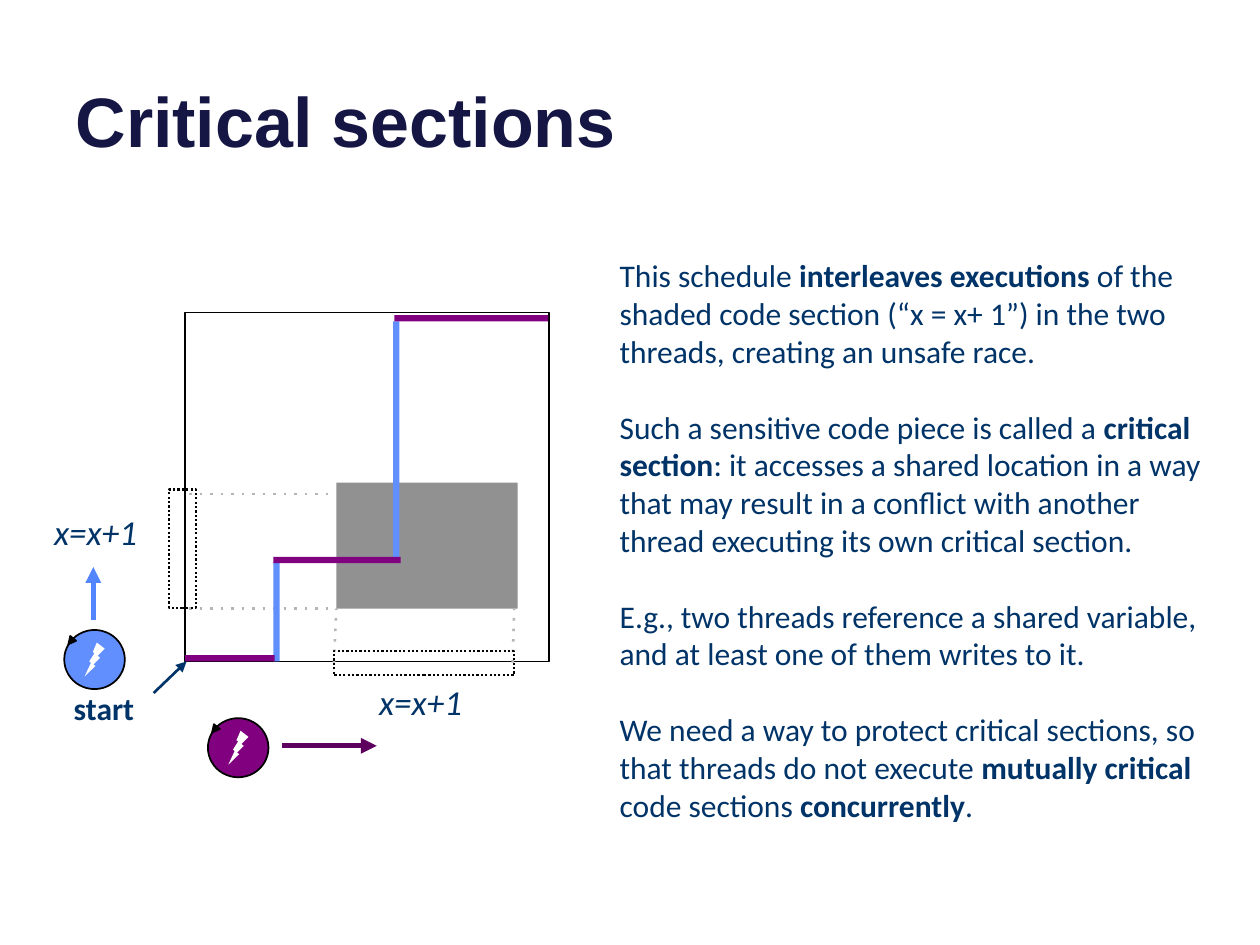
"""Build the slide on critical sections with its schedule diagram."""
from lxml.etree import SubElement
from pptx import Presentation
from pptx.dml.color import RGBColor as RGB
from pptx.enum.shapes import MSO_CONNECTOR as Conn, MSO_SHAPE as Kind
from pptx.enum.text import MSO_ANCHOR as Anchor, PP_ALIGN as Align
from pptx.oxml.ns import qn
from pptx.util import Pt

NAVY, INK = RGB(0x16, 0x16, 0x45), RGB(0x00, 0x33, 0x67)
BLUE, PURPLE = RGB(0x61, 0x8F, 0xFD), RGB(0x80, 0x00, 0x80)
SKY, PLUM = RGB(0x53, 0x85, 0xFF), RGB(0x5D, 0x00, 0x5E)
GREY, PALE = RGB(0x91, 0x91, 0x91), RGB(0xB5, 0xB5, 0xB5)
BLACK, WHITE = RGB(0, 0, 0), RGB(255, 255, 255)

TITLE = "Critical sections"
BODY = [
    [("This schedule ", False), ("interleaves executions", True),
     (" of the shaded code section (“x = x+ 1”) in the two threads, "
      "creating an unsafe race.", False)],
    [("Such a sensitive code piece is called a ", False),
     ("critical section", True),
     (": it accesses a shared location in a way that may result in a conflict "
      "with another thread executing its own critical section.", False)],
    [("E.g., two threads reference a shared variable, "
      "and at least one of them writes to it.", False)],
    [("We need a way to protect critical sections, "
      "so that threads do not execute ", False),
     ("mutually critical ", True), ("code sections ", False),
     ("concurrently", True), (".", False)],
]
CODE = "x=x+1"
LABELS = [
    (CODE, (23.8, 288, 77.8, 31.7), 20, False, True, Align.LEFT),
    (CODE, (209.5, 385.2, 77.8, 31.7), 20, False, True, Align.LEFT),
    ("start", (29.5, 390.2, 59.8, 28.8), 18, True, False, Align.CENTER),
]
THICK = 3.6
ACROSS = [(225.4, 180, 87.8), (105.8, 374.4, 51.1), (156.2, 318.2, 72.7)]
UP = [(224.6, 183.6, 137.5), (156.2, 321.1, 56.9)]
FIELD = (105.8, 178.6, 208.1, 199.4)
SHADE = (192.2, 275.8, 103.7, 72)
SPANS = [(190.8, 372.2, 103, 13.7), (96.8, 279.7, 15.1, 67.7)]
THREADS = [(36.7, 360, BLUE), (118.8, 410.4, PURPLE)]
ARROWS = [
    ((53.3, 354.2, 53.3, 324), SKY, 3),
    ((161.3, 426.2, 215.3, 426.2), PLUM, 3),
    ((87.8, 396, 106.6, 378), INK, 1.5),
]
GUIDES = [(108, 282.2, 192.2, 282.2), (108, 347.8, 192.2, 347.8),
          (190.8, 378.7, 192.2, 347.8), (293, 378.7, 293.8, 347.8)]


def stroke(shape, color, width, dash=None, head=False):
    shape.line.color.rgb = color
    shape.line.width = Pt(width)
    ln = shape._element.spPr.find(qn("a:ln"))
    if dash:
        SubElement(ln, qn("a:prstDash")).set("val", dash)
    if head:
        SubElement(ln, qn("a:tailEnd")).set("type", "triangle")


def draw(shapes, box, fill=None, edge=None, dash=None, kind=Kind.RECTANGLE):
    shape = shapes.add_shape(kind, *map(Pt, box))
    shape.shadow.inherit = False
    if fill is None:
        shape.fill.background()
    else:
        shape.fill.solid()
        shape.fill.fore_color.rgb = fill
    if edge:
        stroke(shape, BLACK, edge, dash)
    else:
        shape.line.fill.background()
    return shape


def link(shapes, ends, color, width, dash=None, head=False):
    line = shapes.add_connector(Conn.STRAIGHT, *map(Pt, ends))
    stroke(line, color, width, dash, head)
    SubElement(line._element.spPr, qn("a:effectLst"))


def thread(shapes, x, y, color):
    parts = shapes.add_group_shape().shapes
    draw(parts, (x, y, 34.6, 33.8), color, 1, kind=Kind.OVAL)
    bolt = draw(parts, (x + 11.7, y + 7.2, 11.5, 19.4), WHITE,
                kind=Kind.LIGHTNING_BOLT)
    bolt._element.spPr.find(qn("a:xfrm")).set("flipH", "1")
    tip = draw(parts, (x + 1.6, y + 4.3, 4.3, 4.3), BLACK, 1,
               kind=Kind.ISOSCELES_TRIANGLE)
    tip.rotation = 219


def style(font, size, color, bold=False, italic=False, name="Calibri"):
    font.name, font.size, font.bold, font.italic = name, Pt(size), bold, italic
    font.color.rgb = color


def frame(shapes, box):
    text = shapes.add_textbox(*map(Pt, box)).text_frame
    text.word_wrap = True
    return text


def label(shapes, words, box, size, bold, italic, align):
    para = frame(shapes, box).paragraphs[0]
    para.text = words
    para.alignment = align
    style(para.runs[0].font, size, INK, bold, italic)


def head(title):
    title.left, title.top, title.width, title.height = map(
        Pt, (36, -26.6, 648, 122.4))
    text = title.text_frame
    text.text = TITLE
    text.vertical_anchor = Anchor.BOTTOM
    para = text.paragraphs[0]
    para.alignment = Align.LEFT
    style(para.runs[0].font, 40, NAVY, True, name="Arial")


def prose(shapes):
    text = frame(shapes, (347, 143, 352.1, 356))
    for i, parts in enumerate(BODY):
        para = text.add_paragraph() if i else text.paragraphs[0]
        if i:
            para.space_before = Pt(21.6)
        for words, bold in parts:
            run = para.add_run()
            run.text = words
            style(run.font, 18, INK, bold)


def main():
    deck = Presentation()
    deck.slide_width, deck.slide_height = Pt(720), Pt(540)
    slide = deck.slides.add_slide(deck.slide_layouts[5])
    shapes = slide.shapes
    head(shapes.title)
    draw(shapes, SHADE, GREY)
    draw(shapes, FIELD, edge=1)
    for ends in GUIDES:
        link(shapes, ends, PALE, 1.5, "dot")
    for x, y, size in UP:
        draw(shapes, (x, y, THICK, size), BLUE)
    for x, y, size in ACROSS:
        draw(shapes, (x, y, size, THICK), PURPLE)
    for box in SPANS:
        draw(shapes, box, edge=1.25, dash="sysDot")
    for spot in THREADS:
        thread(shapes, *spot)
    for ends, color, width in ARROWS:
        link(shapes, ends, color, width, head=True)
    for item in LABELS:
        label(shapes, *item)
    prose(shapes)
    deck.save("out.pptx")


if __name__ == "__main__":
    main()
